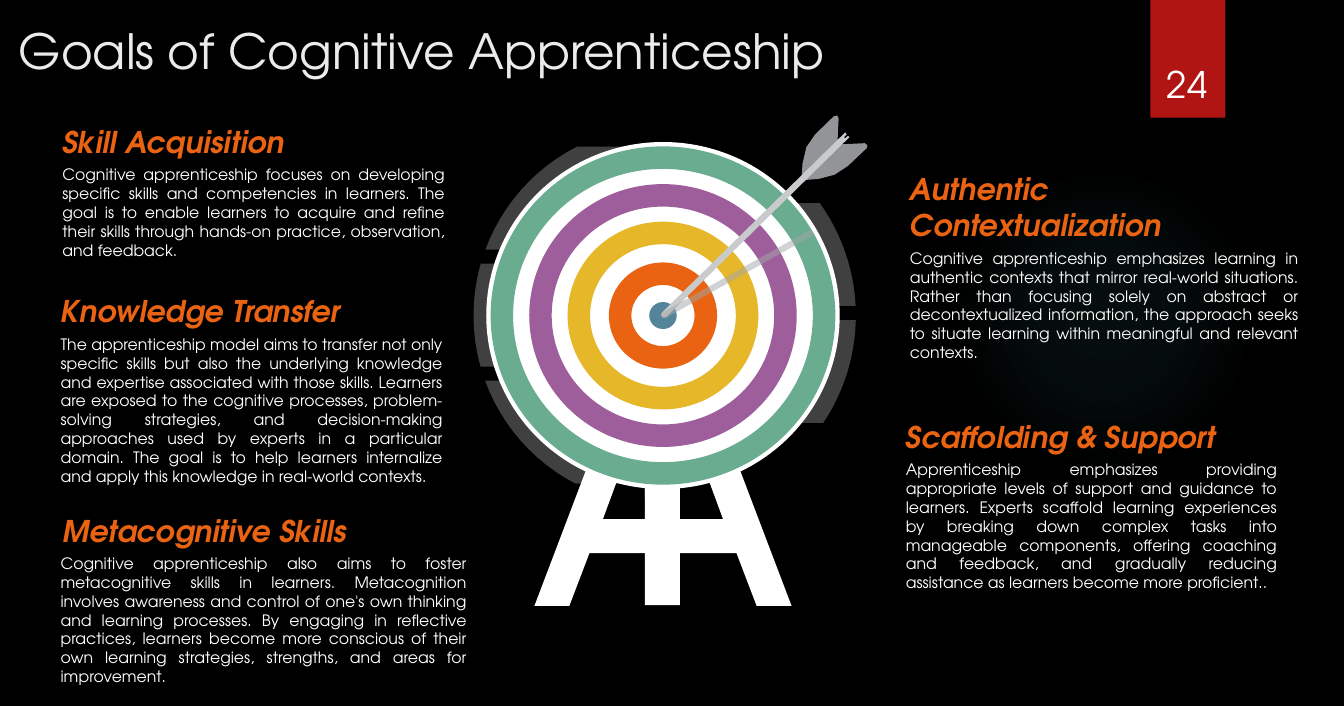
from dataclasses import dataclass
from math import cos, pi, sin, asin

from lxml.etree import SubElement
from pptx import Presentation
from pptx.dml.color import RGBColor
from pptx.enum.shapes import MSO_SHAPE as Shape
from pptx.enum.text import MSO_ANCHOR as Anchor, MSO_AUTO_SIZE as AutoSize, PP_ALIGN as Align
from pptx.oxml.ns import qn
from pptx.util import Cm, Pt


@dataclass
class Theme:
    font: str = "TeX Gyre Adventor"
    background: str = "000000"
    title: str = "EBEBEB"
    white: str = "FFFFFF"
    orange: str = "EA6312"
    tab: str = "B01513"
    glow: str = "50B9C1"
    green: str = "6AAC90"
    purple: str = "9E5E9B"
    yellow: str = "E6B729"
    bullseye: str = "54849A"
    feather: str = "929497"
    shaft: str = "C8CACB"
    arrow_shadow: str = "A4A6A8"
    title_size: float = 52
    number_size: float = 39.2
    heading_size: float = 32
    body_size: float = 16.8


theme = Theme()


def paint(shape, color, opacity=100):
    """Fill a shape with one colour, without line or shadow."""
    shape.shadow.inherit = False
    shape.line.fill.background()
    shape.fill.solid()
    shape.fill.fore_color.rgb = RGBColor.from_string(color)
    if opacity < 100:
        tint = shape.fill._xPr.find(".//" + qn("a:srgbClr"))
        SubElement(tint, qn("a:alpha"), val=str(opacity * 1000))


def write(box, text, size, color, align=Align.LEFT, anchor=Anchor.TOP, bold=False):
    """Put one formatted paragraph into a box."""
    frame = box.text_frame
    frame.word_wrap = True
    frame.auto_size = AutoSize.NONE
    frame.vertical_anchor = anchor
    para = frame.paragraphs[0]
    para.text = text
    para.alignment = align
    font = para.font
    font.name, font.size = theme.font, Pt(size)
    font.bold = font.italic = bold
    font.color.rgb = RGBColor.from_string(color)
    return frame


deck = Presentation()
deck.slide_width, deck.slide_height = Cm(50.8), Cm(26.67)
page = deck.slides.add_slide(deck.slide_layouts[5])
page.background.fill.solid()
page.background.fill.fore_color.rgb = RGBColor.from_string(theme.background)
shapes = page.shapes

# Faint round glow
glow = shapes.add_shape(Shape.OVAL, Cm(35.86), Cm(6.53), Cm(11.73), Cm(10.97))
paint(glow, theme.glow)
glow.fill.gradient()
gradient = glow.fill._xPr.find(qn("a:gradFill"))
for child in list(gradient):
    gradient.remove(child)
stops = SubElement(gradient, qn("a:gsLst"))
for position, opacity in ((0, 7), (36, 6), (69, 0)):
    stop = SubElement(stops, qn("a:gs"), pos=str(position * 1000))
    tint = SubElement(stop, qn("a:srgbClr"), val=theme.glow)
    SubElement(tint, qn("a:alpha"), val=str(opacity * 1000))
circle = SubElement(gradient, qn("a:path"), path="circle")
SubElement(circle, qn("a:fillToRect"), l="50000", t="50000", r="50000", b="50000")

# Page tab and number
tab = shapes.add_shape(Shape.RECTANGLE, Cm(43.48), 0, Cm(2.84), Cm(4.45))
paint(tab, theme.tab)
number = shapes.add_textbox(Cm(43.13), Cm(1.14), Cm(3.48), Cm(3))
write(number, "24", theme.number_size, theme.white, Align.CENTER, Anchor.BOTTOM)

# Title
title = shapes.title
title.left, title.top, title.width, title.height = Cm(0.46), Cm(0.66), Cm(31.93), Cm(2.49)
write(title, "Goals of Cognitive Apprenticeship", theme.title_size, theme.title,
      anchor=Anchor.MIDDLE)

# Goals: heading, text, left, top, width, heading height, text height, heading shift
goals = [
    ("Skill Acquisition",
     "Cognitive apprenticeship focuses on developing specific skills and competencies in "
     "learners. The goal is to enable learners to acquire and refine their skills through "
     "hands-on practice, observation, and feedback.",
     2.36, 4.52, 14.45, 1.63, 3.84, 0),
    ("Knowledge Transfer",
     "The apprenticeship model aims to transfer not only specific skills but also the "
     "underlying knowledge and expertise associated with those skills. Learners are exposed "
     "to the cognitive processes, problem-solving strategies, and decision-making approaches "
     "used by experts in a particular domain. The goal is to help learners internalize and "
     "apply this knowledge in real-world contexts.",
     2.29, 10.92, 14.43, 1.63, 6.73, 0),
    ("Metacognitive Skills",
     "Cognitive apprenticeship also aims to foster metacognitive skills in learners. "
     "Metacognition involves awareness and control of one's own thinking and learning "
     "processes. By engaging in reflective practices, learners become more conscious of "
     "their own learning strategies, strengths, and areas for improvement.",
     2.29, 19.2, 15.34, 1.63, 5.28, 0.07),
    ("Authentic Contextualization",
     "Cognitive apprenticeship emphasizes learning in authentic contexts that mirror "
     "real-world situations. Rather than focusing solely on abstract or decontextualized "
     "information, the approach seeks to situate learning within meaningful and relevant "
     "contexts.",
     34.39, 6.3, 14.68, 3, 4.57, 0),
    ("Scaffolding & Support",
     "Apprenticeship emphasizes providing appropriate levels of support and guidance to "
     "learners. Experts scaffold learning experiences by breaking down complex tasks into "
     "manageable components, offering coaching and feedback, and gradually reducing "
     "assistance as learners become more proficient..",
     34.24, 15.65, 14.02, 1.63, 5.28, 0),
]
for heading, text, left, top, width, heading_height, text_height, shift in goals:
    head = shapes.add_textbox(Cm(left + shift), Cm(top), Cm(width - shift), Cm(heading_height))
    body = shapes.add_textbox(Cm(left), Cm(top + heading_height - 0.03), Cm(width),
                              Cm(text_height))
    frames = (write(head, heading, theme.heading_size, theme.orange,
                    anchor=Anchor.BOTTOM, bold=True),
              write(body, text, theme.body_size, theme.white, Align.JUSTIFY))
    for frame in frames:
        frame.margin_left = frame.margin_right = 0

# Target stand: post, its shade and the mirrored legs
center_x, center_y = 25.06, 11.92
post = shapes.add_shape(Shape.RECTANGLE, Cm(24.38), Cm(17.63), Cm(1.32), Cm(5.23))
paint(post, theme.white)
leg = [(2.78, 20.9), (3.54, 22.89), (4.86, 22.89), (2.86, 17.63), (1.54, 17.63), (2.27, 19.61)]
legs = [(center_x + x, y) for x, y in leg] + [(center_x - x, y) for x, y in reversed(leg)]
post_shade = [(25.7, 18.14), (25.7, 22.63), (24.38, 18.8), (24.38, 18.14)]
back_outlines = [(post_shade, theme.white, 70), (legs, theme.white, 100)]

# Translucent bands behind the target, each ending in an arc
band_height, arc_steps = 3.89, 12
for side, radius, top in ((-1, 7.16, 5.54), (1, 7.29, 7.67), (-1, 7.16, 9.96),
                          (1, 7.29, 12.09), (-1, 7.16, 14.38)):
    start = asin((top - center_y) / radius)
    end = asin((top + band_height - center_y) / radius)
    angles = [start + (end - start) * step / arc_steps for step in range(arc_steps + 1)]
    arc = [(center_x + side * radius * cos(a), center_y + radius * sin(a)) for a in angles]
    band = [(center_x, top), *arc, (center_x, top + band_height)]
    back_outlines.append((band, theme.white, 25))

# Arrow: two feathers, shaft and its shadow on the target
upper_feather = [(30.33, 6.2), (30.3, 6.81), (31.65, 5.49), (31.7, 4.47), (31.65, 4.37),
                 (31.52, 4.39), (30.81, 5.08), (30.48, 5.56)]
lower_feather = [(30.94, 6.76), (30.3, 6.81), (31.65, 5.46), (32.69, 5.41), (32.79, 5.49),
                 (32.77, 5.59), (32.05, 6.27), (31.55, 6.6)]
shaft = [(32, 5.08), (31.9, 5.18), (31.95, 5.23), (32.05, 5.13), (32.11, 5.18), (25.2, 11.96),
         (25.11, 12), (25.02, 11.96), (24.99, 11.89), (25.02, 11.81), (31.95, 5)]
arrow_shadow = [(25.04, 11.81), (30.66, 8.66), (30.78, 8.86), (25.17, 12.01), (25.07, 12.03),
                (24.99, 11.96), (24.99, 11.87)]
front_outlines = [(upper_feather, theme.feather, 100), (lower_feather, theme.feather, 100),
                  (shaft, theme.shaft, 100), (arrow_shadow, theme.arrow_shadow, 50)]

# Target face, rings and bullseye, all around one centre
ring_width = 0.85
discs = [(Shape.OVAL, 13.36, 13.11, theme.white), (Shape.DONUT, 13.03, 12.78, theme.green),
         (Shape.DONUT, 10.11, 9.93, theme.purple), (Shape.DONUT, 7.21, 7.09, theme.yellow),
         (Shape.DONUT, 4.09, 4.01, theme.orange), (Shape.OVAL, 1.04, 1.02, theme.bullseye)]

# Draw from back to front
for outlines, rounds in ((back_outlines, discs), (front_outlines, [])):
    for points, color, opacity in outlines:
        corners = [(Cm(x), Cm(y)) for x, y in points]
        builder = shapes.build_freeform(*corners[0])
        builder.add_line_segments(corners[1:], close=True)
        paint(builder.convert_to_shape(), color, opacity)
    for kind, width, height, color in rounds:
        disc = shapes.add_shape(kind, Cm(center_x - width / 2), Cm(center_y - height / 2),
                                Cm(width), Cm(height))
        if kind == Shape.DONUT:
            disc.adjustments[0] = ring_width / height
        paint(disc, color)

deck.save("out.pptx")
